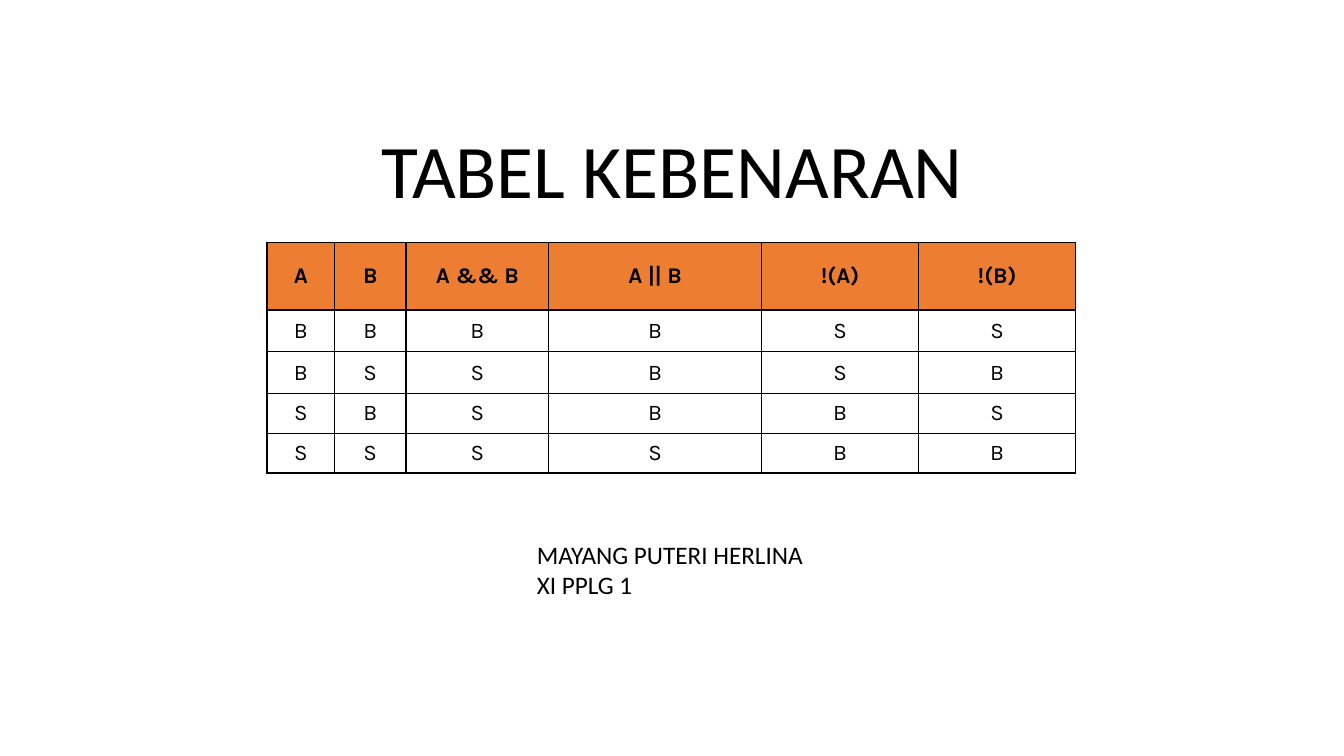
import itertools
import lxml.etree
import pptx
import pptx.dml.color
import pptx.enum.text
import pptx.oxml.ns
import pptx.util

Cm = pptx.util.Cm
Pt = pptx.util.Pt
Align = pptx.enum.text.PP_ALIGN
Anchor = pptx.enum.text.MSO_ANCHOR
colours = {"text": "000000", "header": "ED7D31", "body": "FFFFFF", "border": "000000"}


def style_paragraph(para, font_name, size, align, bold=False):
    para.alignment = align
    para.font.name = font_name
    para.font.size = Pt(size)
    para.font.bold = bold
    para.font.color.rgb = pptx.dml.color.RGBColor.from_string(colours["text"])


def add_border(cell):
    properties = cell._tc.get_or_add_tcPr()
    for index, side in enumerate(("lnL", "lnR", "lnT", "lnB")):
        line = lxml.etree.Element(pptx.oxml.ns.qn(f"a:{side}"), w=str(Pt(1)))
        fill = lxml.etree.SubElement(line, pptx.oxml.ns.qn("a:solidFill"))
        lxml.etree.SubElement(fill, pptx.oxml.ns.qn("a:srgbClr"), val=colours["border"])
        properties.insert(index, line)


deck = pptx.Presentation()
deck.slide_width = Cm(33.87)
deck.slide_height = Cm(19.05)
page = deck.slides.add_slide(deck.slide_layouts[6])

title = page.shapes.add_textbox(Cm(4.24), Cm(3.12), Cm(25.4), Cm(2.41)).text_frame
title.word_wrap = True
title.vertical_anchor = Anchor.BOTTOM
title.text = "TABEL KEBENARAN"
title.paragraphs[0].line_spacing = 0.9
style_paragraph(title.paragraphs[0], "Calibri", 54, Align.CENTER)

symbols = {True: "B", False: "S"}
rows = [["A", "B", "A && B", "A || B", "!(A)", "!(B)"]]
for a, b in itertools.product((True, False), repeat=2):
    rows.append([symbols[value] for value in (a, b, a and b, a or b, not a, not b)])

column_widths = [1.7, 1.8, 3.6, 5.36, 3.96, 3.96]
row_heights = [1.69, 1.05, 1.06, 1, 1]
frame = page.shapes.add_table(
    len(rows), len(column_widths), Cm(6.73), Cm(6.12),
    Cm(sum(column_widths)), Cm(sum(row_heights)),
)
truth_table = frame.table
for column, width in zip(truth_table.columns, column_widths):
    column.width = Cm(width)
for row, height in zip(truth_table.rows, row_heights):
    row.height = Cm(height)

for row_index, values in enumerate(rows):
    is_header = row_index == 0
    for column_index, value in enumerate(values):
        cell = truth_table.cell(row_index, column_index)
        cell.text = value
        cell.vertical_anchor = Anchor.MIDDLE
        cell.margin_top = cell.margin_bottom = Cm(0)
        cell.fill.solid()
        fill_colour = colours["header" if is_header else "body"]
        cell.fill.fore_color.rgb = pptx.dml.color.RGBColor.from_string(fill_colour)
        add_border(cell)
        style_paragraph(cell.text_frame.paragraphs[0], "Karla", 16, Align.CENTER, is_header)

author = page.shapes.add_textbox(Cm(13.28), Cm(13.46), Cm(7.26), Cm(1.8)).text_frame
author.word_wrap = False
author.auto_size = pptx.enum.text.MSO_AUTO_SIZE.SHAPE_TO_FIT_TEXT
author.text = "MAYANG PUTERI HERLINA\nXI PPLG 1"
for para in author.paragraphs:
    style_paragraph(para, "Calibri", 18, Align.LEFT)

deck.save("out.pptx")
